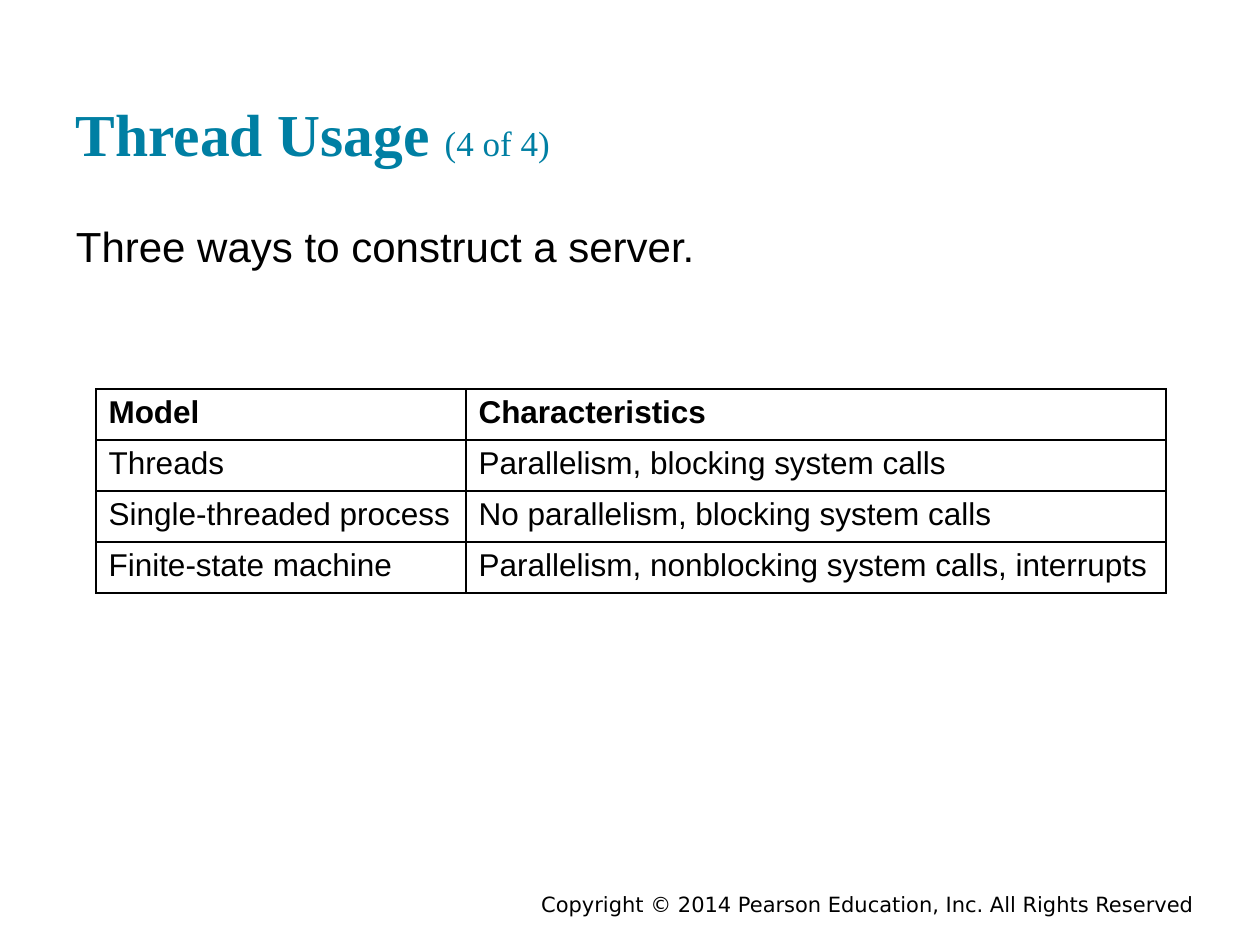
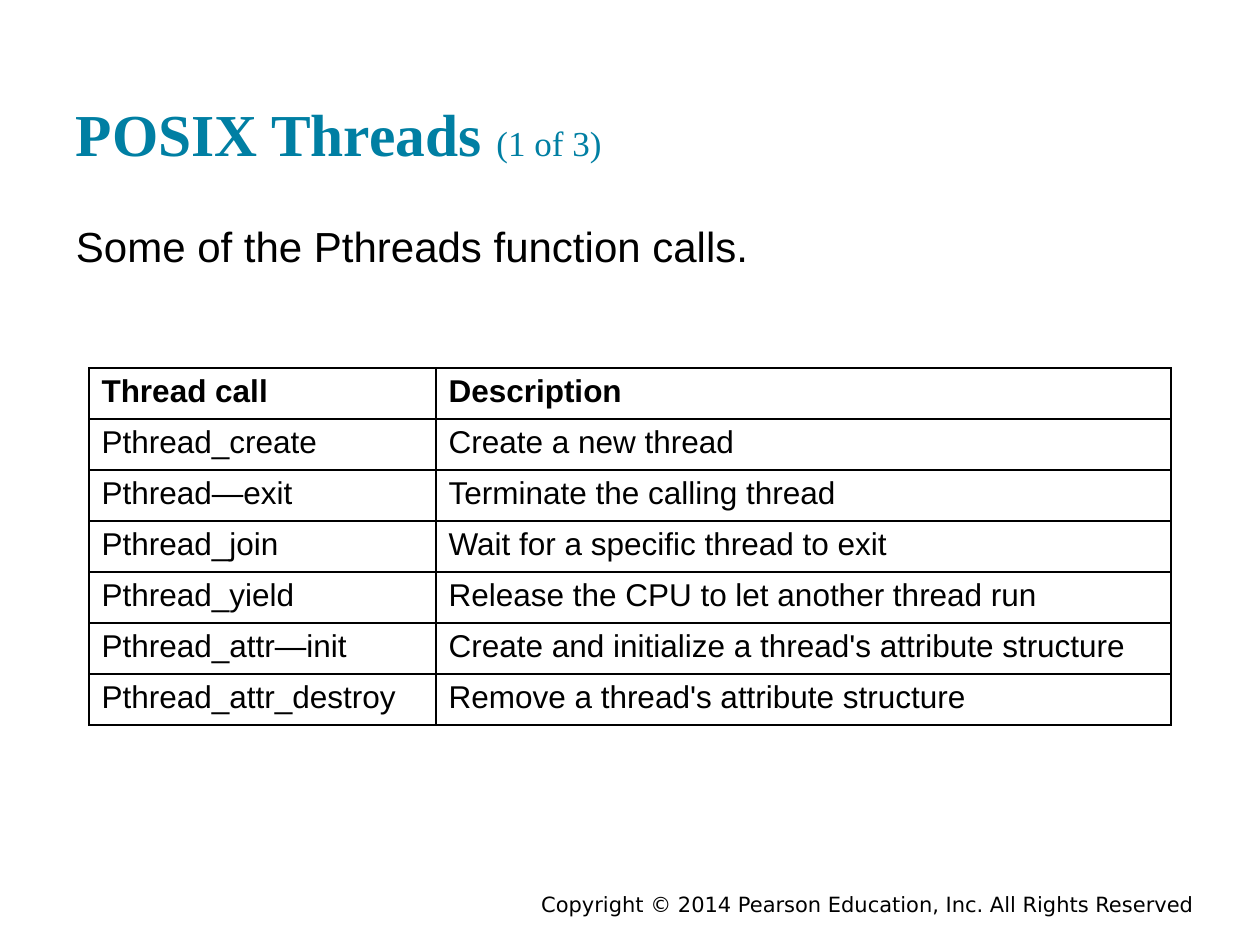
from dataclasses import dataclass

from lxml.etree import SubElement
from pptx import Presentation
from pptx.dml.color import RGBColor
from pptx.enum.text import MSO_ANCHOR, PP_ALIGN
from pptx.oxml.ns import qn
from pptx.util import Emu, Pt


@dataclass(frozen=True)
class Theme:
    teal: str = "007FA3"
    black: str = "000000"
    serif: str = "Times New Roman"
    sans: str = "Arial"
    small: str = "DejaVu Sans"
    head: int = 34
    count: int = 20
    lead: int = 24
    cell: int = 18
    foot: int = 12
    rule: int = 1


THEME = Theme()
SCALE = 914400 / 126
ROW = 51
FOOTER = "Copyright © 2014 Pearson Education, Inc. All Rights Reserved"

HEAD = dict(name=THEME.serif, size=THEME.head, color=THEME.teal, bold=True)
COUNT = HEAD | dict(size=THEME.count, bold=False)
LEAD = dict(name=THEME.sans, size=THEME.lead, color=THEME.black)
CELL = dict(name=THEME.sans, size=THEME.cell, color=THEME.black, bold=False)
FOOT = dict(name=THEME.small, size=THEME.foot, color=THEME.black)

SLIDES = [
    dict(
        title="Thread Usage",
        count="(4 of 4)",
        lead="Three ways to construct a server.",
        spot=(96, 389),
        cols=(370, 700),
        rows=[
            ("Model", "Characteristics"),
            ("Threads", "Parallelism, blocking system calls"),
            ("Single-threaded process", "No parallelism, blocking system calls"),
            ("Finite-state machine", "Parallelism, nonblocking system calls, interrupts"),
        ],
    ),
    dict(
        title="POSIX Threads",
        count="(1 of 3)",
        lead="Some of the Pthreads function calls.",
        spot=(89, 368),
        cols=(347, 735),
        rows=[
            ("Thread call", "Description"),
            ("Pthread_create", "Create a new thread"),
            ("Pthread—exit", "Terminate the calling thread"),
            ("Pthread_join", "Wait for a specific thread to exit"),
            ("Pthread_yield", "Release the CPU to let another thread run"),
            ("Pthread_attr—init", "Create and initialize a thread's attribute structure"),
            ("Pthread_attr_destroy", "Remove a thread's attribute structure"),
        ],
    ),
]


def px(length):
    return Emu(round(length * SCALE))


def write(line, text, form):
    """Add a run of text to a paragraph in the given format."""
    run = line.add_run()
    run.text = text
    for key, value in form.items():
        if key == "color":
            run.font.color.rgb = RGBColor.from_string(value)
        else:
            setattr(run.font, key, Pt(value) if key == "size" else value)


def add_text(slide, box, runs, pad=13, anchor=MSO_ANCHOR.TOP, align=PP_ALIGN.LEFT):
    frame = slide.shapes.add_textbox(*map(px, box)).text_frame
    form = dict(
        word_wrap=True,
        vertical_anchor=anchor,
        margin_left=px(13),
        margin_right=px(13),
        margin_top=px(pad),
        margin_bottom=px(pad),
    )
    for key, value in form.items():
        setattr(frame, key, value)
    line = frame.paragraphs[0]
    line.alignment = align
    for text, style in runs:
        write(line, text, style)


def add_rules(cell):
    """Draw a thin line on all four sides of a cell."""
    props = cell._tc.get_or_add_tcPr()
    for side in ("a:lnL", "a:lnR", "a:lnT", "a:lnB"):
        edge = SubElement(props, qn(side), w=str(Pt(THEME.rule)))
        fill = SubElement(edge, qn("a:solidFill"))
        SubElement(fill, qn("a:srgbClr"), val=THEME.black)


def add_grid(slide, spot, cols, rows):
    size = (sum(cols), ROW * len(rows))
    frame = slide.shapes.add_table(len(rows), len(cols), *map(px, spot + size))
    table = frame.table
    table.horz_banding = False
    for col, width in zip(table.columns, cols):
        col.width = px(width)
    for i, texts in enumerate(rows):
        table.rows[i].height = px(ROW)
        for j, text in enumerate(texts):
            cell = table.cell(i, j)
            add_rules(cell)
            cell.fill.background()
            write(cell.text_frame.paragraphs[0], text, CELL | dict(bold=i == 0))


def add_slide(deck, title, count, lead, spot, cols, rows):
    slide = deck.slides.add_slide(deck.slide_layouts[6])
    add_text(slide, (220, 886, 987, 28), [(FOOTER, FOOT)], pad=6, align=PP_ALIGN.RIGHT)
    add_text(slide, (63, 30, 1134, 151), [(title + " ", HEAD), (count, COUNT)],
             anchor=MSO_ANCHOR.BOTTOM)
    add_text(slide, (63, 207, 1134, 72), [(lead, LEAD)])
    add_grid(slide, spot, cols, rows)


def main():
    deck = Presentation()
    deck.slide_width, deck.slide_height = px(1260), px(945)
    for content in SLIDES:
        add_slide(deck, **content)
    deck.save("out.pptx")


if __name__ == "__main__":
    main()
